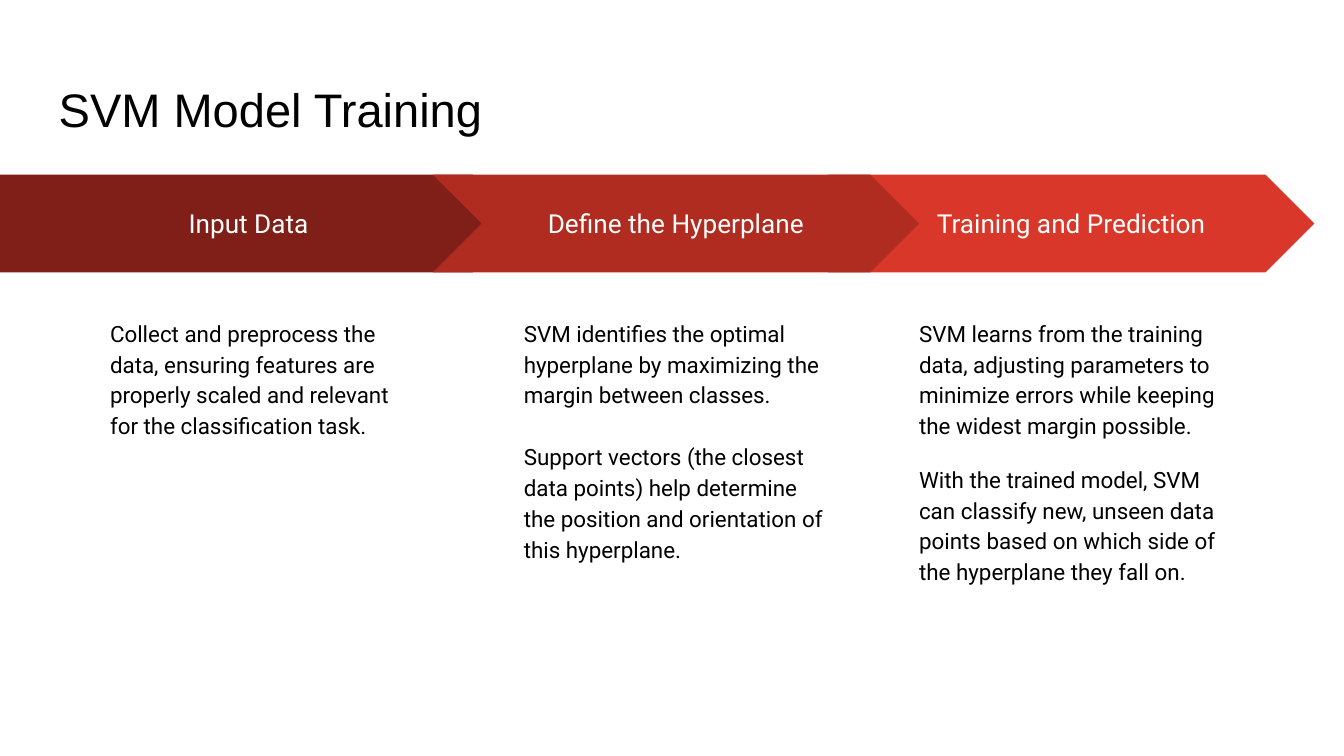
from pptx import Presentation
from pptx.dml.color import RGBColor
from pptx.enum.shapes import MSO_SHAPE
from pptx.enum.text import MSO_ANCHOR, PP_ALIGN
from pptx.util import Cm, Pt

BLACK = RGBColor(0x00, 0x00, 0x00)
WHITE = RGBColor(0xFF, 0xFF, 0xFF)
DARK_RED = RGBColor(0x80, 0x1F, 0x17)
MID_RED = RGBColor(0xB0, 0x2B, 0x20)
BRIGHT_RED = RGBColor(0xD8, 0x37, 0x29)

# Column rules, in cm
CHEVRON_LEFT, CHEVRON_WIDTH, PITCH = 8.18, 9.19, 7.47
DETAIL_INDENT = 1.47


def write_text(frame, *paragraphs, font="Roboto", size=12, color=BLACK,
               align=PP_ALIGN.LEFT, anchor=MSO_ANCHOR.TOP,
               line_spacing=1.0, gap=0):
    """Fill a text frame; gap is the space in points between paragraphs."""
    frame.word_wrap = True
    frame.vertical_anchor = anchor
    frame.margin_left = frame.margin_right = Cm(0.25)
    frame.margin_top = frame.margin_bottom = Cm(0.25)
    for index, text in enumerate(paragraphs):
        paragraph = frame.add_paragraph() if index else frame.paragraphs[0]
        paragraph.alignment = align
        paragraph.line_spacing = line_spacing
        if index:
            paragraph.space_before = Pt(gap)
        run = paragraph.add_run()
        run.text = text
        run.font.name = font
        run.font.size = Pt(size)
        run.font.color.rgb = color


def add_title(slide, text):
    title = slide.shapes.title
    title.left, title.top = Cm(0.86), Cm(1.24)
    title.width, title.height = Cm(23.67), Cm(1.6)
    write_text(title.text_frame, text, font="Arial", size=25.2,
               anchor=MSO_ANCHOR.BOTTOM)


def add_arrow(step, kind, left, width, fill, label):
    arrow = step.shapes.add_shape(kind, Cm(left), Cm(3.3), Cm(width), Cm(1.85))
    arrow.adjustments[0] = 0.5
    arrow.shadow.inherit = False
    arrow.fill.solid()
    arrow.fill.fore_color.rgb = fill
    arrow.line.fill.background()
    write_text(arrow.text_frame, label, size=14, color=WHITE,
               align=PP_ALIGN.CENTER, anchor=MSO_ANCHOR.MIDDLE)


def add_details(step, left, paragraphs, gap=0):
    details = step.shapes.add_textbox(Cm(left), Cm(5.72), Cm(6.23), Cm(7.26))
    write_text(details.text_frame, *paragraphs, line_spacing=1.15, gap=gap)


def add_chevron_step(slide, column, fill, label, paragraphs, gap):
    step = slide.shapes.add_group_shape()
    left = CHEVRON_LEFT + column * PITCH
    add_arrow(step, MSO_SHAPE.CHEVRON, left, CHEVRON_WIDTH, fill, label)
    add_details(step, left + DETAIL_INDENT, paragraphs, gap)


def add_first_step(slide, fill, label, paragraphs):
    step = slide.shapes.add_group_shape()
    add_arrow(step, MSO_SHAPE.PENTAGON, 0, 9.86, fill, label)
    add_details(step, 1.83, paragraphs)


def main():
    deck = Presentation()
    deck.slide_width, deck.slide_height = Cm(25.4), Cm(14.29)
    slide = deck.slides.add_slide(deck.slide_layouts[5])
    add_title(slide, "SVM Model Training")

    # Steps from back to front: the middle chevron overlaps both neighbours
    add_chevron_step(slide, 1, BRIGHT_RED, "Training and Prediction", [
        "SVM learns from the training data, adjusting parameters to minimize "
        "errors while keeping the widest margin possible.",
        "With the trained model, SVM can classify new, unseen data points "
        "based on which side of the hyperplane they fall on.",
    ], gap=12)
    add_first_step(slide, DARK_RED, "Input Data", [
        "Collect and preprocess the data, ensuring features are properly "
        "scaled and relevant for the classification task.",
    ])
    add_chevron_step(slide, 0, MID_RED, "Define the Hyperplane", [
        "SVM identifies the optimal hyperplane by maximizing the margin "
        "between classes.",
        "Support vectors (the closest data points) help determine the "
        "position and orientation of this hyperplane.",
    ], gap=16.5)

    deck.save("out.pptx")


if __name__ == "__main__":
    main()
